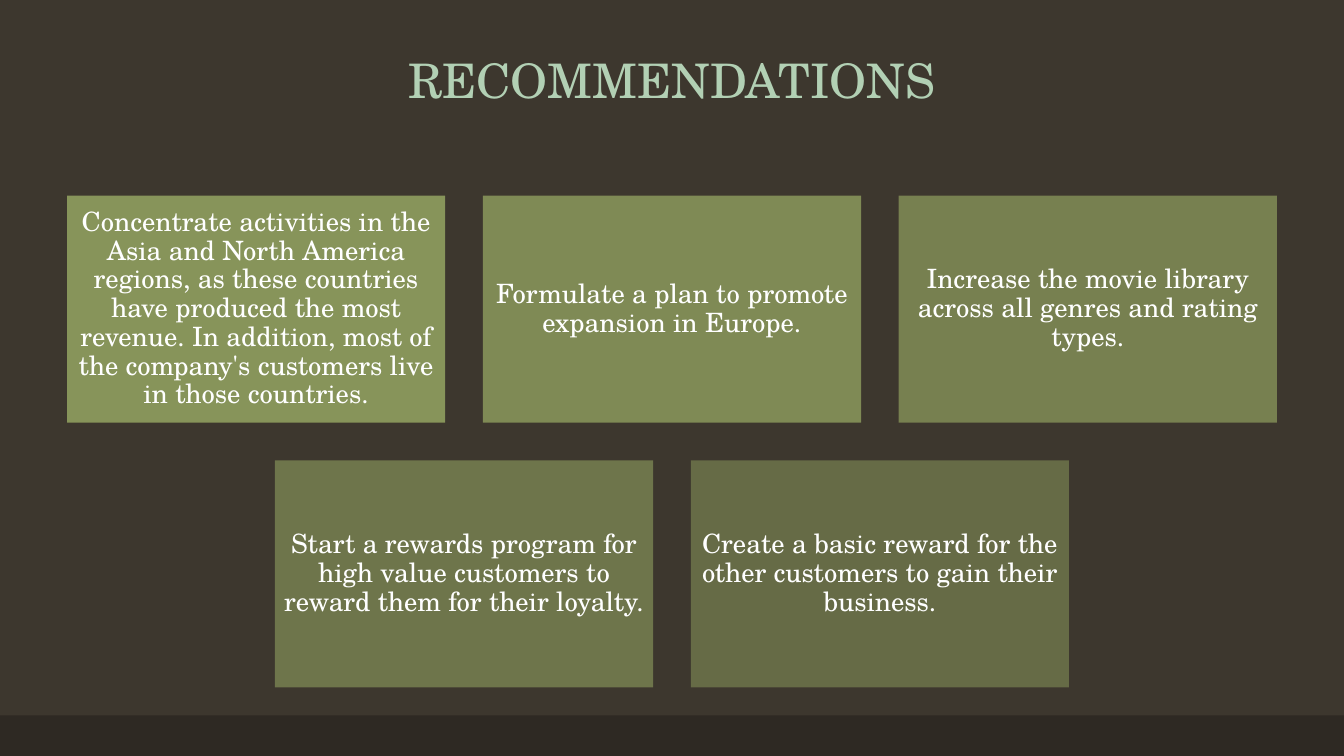
from lxml import etree
from pptx import Presentation
from pptx.dml.color import RGBColor
from pptx.enum.shapes import MSO_SHAPE
from pptx.enum.text import MSO_ANCHOR, MSO_AUTO_SIZE, PP_ALIGN
from pptx.oxml.ns import qn
from pptx.util import Cm, Pt

RECTANGLE = MSO_SHAPE.RECTANGLE
CENTER = PP_ALIGN.CENTER
MIDDLE, BOTTOM = MSO_ANCHOR.MIDDLE, MSO_ANCHOR.BOTTOM
NO_AUTOFIT = MSO_AUTO_SIZE.NONE

FONT = "TeX Gyre Schola"
COLORS = {
    "background": "3D372E",
    "footer": "2E2923",
    "title": "B2D0B4",
    "card": "909F5F",
    "card_text": "FFFFFF",
}
SLIDE_W, SLIDE_H = 33.87, 19.05
FOOTER_H = 1.02
CARD_W, CARD_H, GAP = 9.53, 5.72, 0.95
CARDS_TOP = 4.93

# Each row is centred on the slide
RECOMMENDATION_ROWS = [
    [
        "Concentrate activities in the Asia and North America regions, as these "
        "countries have produced the most revenue. In addition, most of the "
        "company's customers live in those countries.",
        "Formulate a plan to promote expansion in Europe.",
        "Increase the movie library across all genres and rating types.",
    ],
    [
        "Start a rewards program for high value customers to reward them for "
        "their loyalty.",
        "Create a basic reward for the other customers to gain their business.",
    ],
]


def write_text(shape, text, *, size, color, anchor, margins):
    """Fill shape with centred text; margins are left, top, right, bottom in cm."""
    frame = shape.text_frame
    frame.text = text
    frame.word_wrap = True
    frame.auto_size = NO_AUTOFIT
    frame.vertical_anchor = anchor
    (frame.margin_left, frame.margin_top,
     frame.margin_right, frame.margin_bottom) = map(Cm, margins)
    paragraph = frame.paragraphs[0]
    paragraph.alignment = CENTER
    paragraph.line_spacing = 0.9
    font = paragraph.runs[0].font
    font.name = FONT
    font.size = Pt(size)
    font.color.rgb = RGBColor.from_string(COLORS[color])


def add_rectangle(left, top, width, height, color, opacity=100):
    """Add a borderless rectangle; lengths in cm, opacity in percent."""
    shape = slide.shapes.add_shape(
        RECTANGLE, Cm(left), Cm(top), Cm(width), Cm(height))
    shape.shadow.inherit = False
    shape.line.fill.background()
    shape.fill.solid()
    shape.fill.fore_color.rgb = RGBColor.from_string(COLORS[color])
    if opacity < 100:
        fill_color = shape.element.spPr.find(qn("a:solidFill"))[0]
        etree.SubElement(fill_color, qn("a:alpha"), val=str(opacity * 1000))
    return shape


prs = Presentation()
prs.slide_width, prs.slide_height = Cm(SLIDE_W), Cm(SLIDE_H)
slide = prs.slides.add_slide(prs.slide_layouts[5])
slide.background.fill.solid()
slide.background.fill.fore_color.rgb = RGBColor.from_string(COLORS["background"])

add_rectangle(0, SLIDE_H - FOOTER_H, SLIDE_W, FOOTER_H, "footer")

title = slide.shapes.title
title.left, title.top = Cm(2.34), Cm(1.02)
title.width, title.height = Cm(31.75), Cm(3.18)
title.left = (prs.slide_width - title.width) // 2
write_text(title, "RECOMMENDATIONS", size=34, color="title", anchor=BOTTOM,
           margins=(0.25, 0.13, 0.25, 1.47))

opacity = 90
for row, recommendations in enumerate(RECOMMENDATION_ROWS):
    count = len(recommendations)
    row_left = (SLIDE_W - count * CARD_W - (count - 1) * GAP) / 2
    for column, recommendation in enumerate(recommendations):
        card = add_rectangle(row_left + column * (CARD_W + GAP),
                             CARDS_TOP + row * (CARD_H + GAP),
                             CARD_W, CARD_H, "card", opacity)
        write_text(card, recommendation, size=19, color="card_text",
                   anchor=MIDDLE, margins=(0.2, 0.2, 0.2, 0.2))
        opacity -= 10

prs.save("out.pptx")
